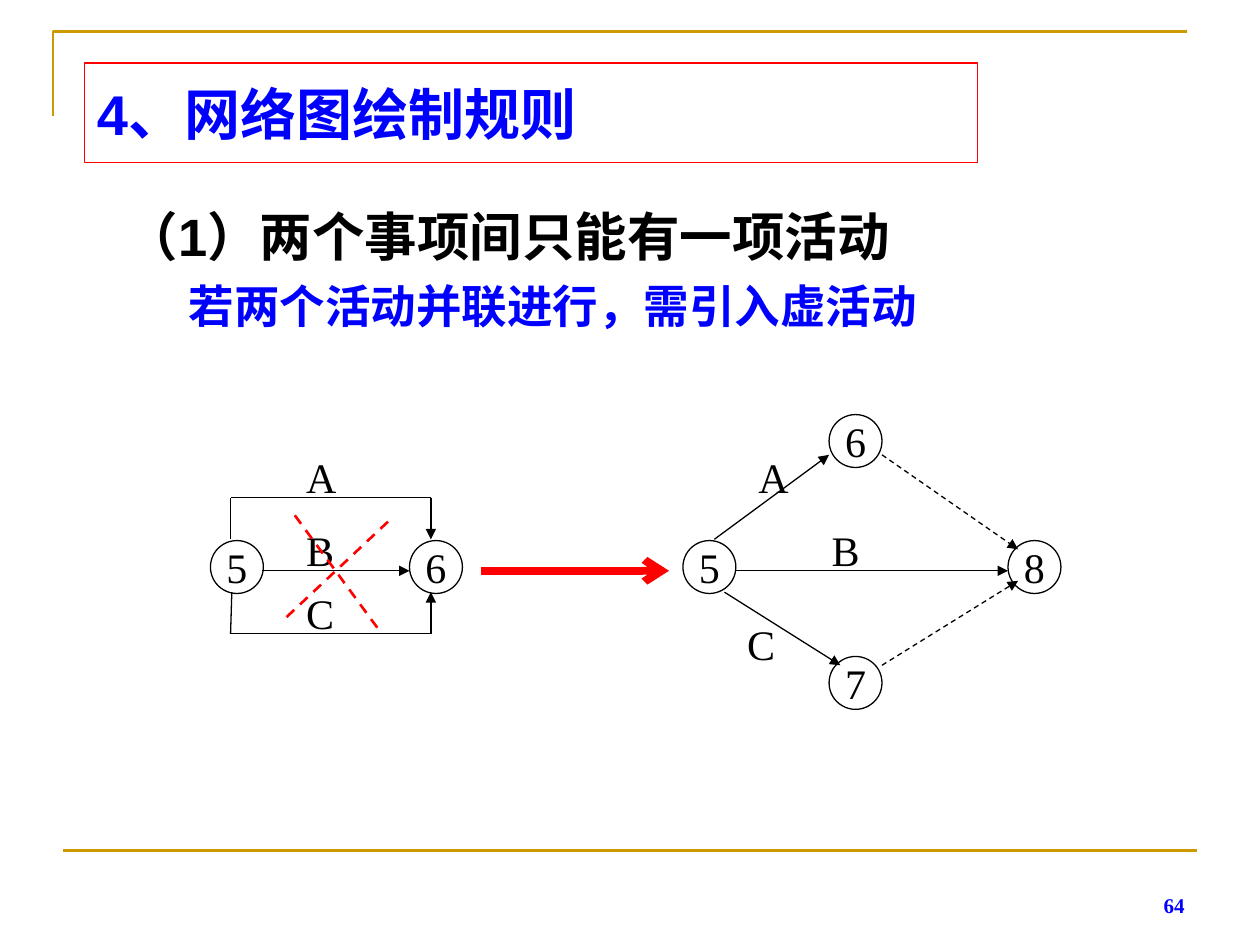
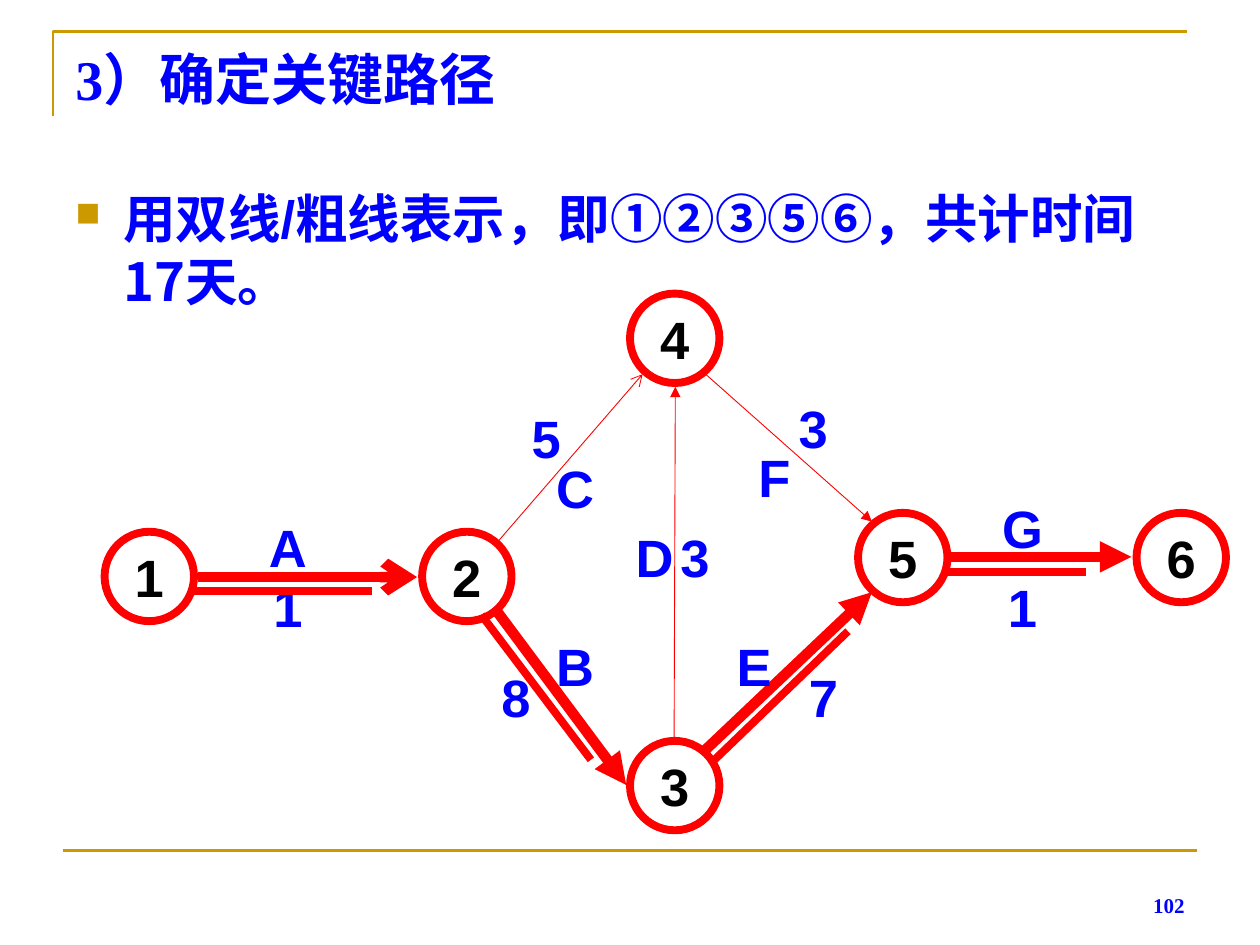
from pptx import Presentation
from pptx import util as u
from pptx.dml.color import RGBColor
from pptx.enum import dml, shapes, text
from pptx.oxml.ns import qn
from lxml import etree

HUE = {"ink": "000000", "blue": "0000FF", "red": "FF0000", "gold": "CC9900", "white": "FFFFFF"}
SANS, SERIF, CJK = "Arial", "Times New Roman", "Noto Sans CJK SC"
WIDE, HIGH = 10, 7.5
LEFT, MID, RIGHT = text.PP_ALIGN.LEFT, text.PP_ALIGN.CENTER, text.PP_ALIGN.RIGHT
TOP, CORE, BASE = text.MSO_ANCHOR.TOP, text.MSO_ANCHOR.MIDDLE, text.MSO_ANCHOR.BOTTOM

RULE = {
    "title": "4、网络图绘制规则",
    "lines": [("（1）两个事项间只能有一项活动", 30, "ink", 0.38),
              ("若两个活动并联进行，需引入虚活动", 26, "blue", 0.88)],
    "page": "64",
    "nodes": [("5", 1.67, 4.29), ("6", 3.25, 4.29), ("5", 5.42, 4.29),
              ("8", 8, 4.29), ("7", 6.58, 5.21), ("6", 6.58, 3.29)],
    "tags": [("A", 2.43, 3.58), ("B", 2.43, 4.16), ("C", 2.43, 4.66),
             ("A", 6.02, 3.58), ("B", 6.6, 4.16), ("C", 5.93, 4.91)],
    "plain": [(1.83, 4.28, 1.83, 3.95), (1.83, 3.95, 3.42, 3.95),
              (1.84, 4.7, 1.83, 5.03), (1.83, 5.03, 3.42, 5.03)],
    "arrows": [(2.08, 4.53, 3.25, 4.53), (3.42, 3.95, 3.42, 4.28), (3.42, 5.03, 3.42, 4.7),
               (5.83, 4.53, 8, 4.53), (5.75, 4.7, 6.67, 5.28), (5.67, 4.28, 6.58, 3.61)],
    "dummy": [(7, 3.61, 8.08, 4.36), (7, 5.28, 8.08, 4.61)],
    "cross": [(2.34, 4.09, 3.03, 5.03), (3.08, 4.14, 2.24, 4.93)],
    "leap": (3.82, 4.53, 5.31, 4.53),
}
PATH = {
    "title": "3）确定关键路径",
    "runs": [("用双线/粗线表示，即", SANS), ("①②③⑤⑥，共计时间17天。", CJK)],
    "page": "102",
    "nodes": [("1", 0.83, 4.22), ("2", 3.35, 4.22), ("3", 5, 5.88),
              ("4", 5, 2.33), ("5", 6.81, 4.07), ("6", 9.02, 4.07)],
    "tags": [("1", 1.93, 4.62), ("8", 3.74, 5.33), ("7", 6.18, 5.33), ("1", 7.76, 4.62),
             ("5", 3.98, 3.28), ("3", 6.1, 3.2), ("A", 1.93, 4.14), ("B", 4.21, 5.09),
             ("C", 4.21, 3.67), ("D", 4.84, 4.22), ("E", 5.63, 5.09), ("F", 5.79, 3.59),
             ("G", 7.76, 3.99), ("3", 5.16, 4.22)],
    "arrows": [((1.57, 4.58, 3.31, 4.58), 6, "arrow"), ((3.95, 4.3, 5.1, 2.97), 0.5, "arrow"),
               ((3.95, 4.86, 4.97, 6.23), 6, "triangle"),
               ((5.6, 2.97, 6.92, 4.14), 0.5, "triangle"),
               ((5.6, 5.95, 6.92, 4.7), 6, "triangle"),
               ((7.55, 4.42, 8.98, 4.42), 6, "triangle"),
               ((5.35, 5.85, 5.36, 3.07), 0.5, "triangle")],
    "twins": [(1.53, 4.69, 2.95, 4.69), (3.82, 4.88, 4.69, 6.03),
              (5.64, 6.06, 6.73, 5.01), (7.52, 4.54, 8.62, 4.54)],
}


def tint(hue):
    return RGBColor.from_string(HUE[hue])


def style(par, size, hue, face, bold=True, side=LEFT):
    par.alignment = side
    font = par.font
    font.size, font.bold, font.name = u.Pt(size), bold, face
    font.color.rgb = tint(hue)


def setup(shape, side, anchor, pad=(0.1, 0.05), wrap=True):
    frame = shape.text_frame
    frame.word_wrap, frame.vertical_anchor = wrap, anchor
    frame.margin_left = frame.margin_right = u.Inches(pad[0])
    frame.margin_top = frame.margin_bottom = u.Inches(pad[1])
    frame.paragraphs[0].alignment = side
    return frame


def label(slide, words, spot, size, hue, face, bold=True, side=LEFT, anchor=TOP, pad=(0.1, 0.05)):
    box = slide.shapes.add_textbox(*map(u.Inches, spot))
    par = setup(box, side, anchor, pad).paragraphs[0]
    par.text = words
    style(par, size, hue, face, bold, side)


def shape(slide, kind, spot, edge, width, fill=None):
    form = slide.shapes.add_shape(kind, *map(u.Inches, spot))
    form.shadow.inherit = False
    form.line.color.rgb, form.line.width = tint(edge), u.Pt(width)
    if fill:
        form.fill.solid()
        form.fill.fore_color.rgb = tint(fill)
    else:
        form.fill.background()
    return form


def node(slide, name, x, y, size, edge, width, fill, *look):
    form = shape(slide, shapes.MSO_SHAPE.OVAL, (x, y, size, size), edge, width, fill)
    par = setup(form, MID, CORE, (0, 0), False).paragraphs[0]
    par.text = name
    style(par, *look, side=MID)


def line(slide, ends, hue, width, head=None, dash=False):
    link = slide.shapes.add_connector(shapes.MSO_CONNECTOR.STRAIGHT, *map(u.Inches, ends))
    link.line.color.rgb, link.line.width = tint(hue), u.Pt(width)
    if dash:
        link.line.dash_style = dml.MSO_LINE.DASH
    if head:
        etree.SubElement(link.line._get_or_add_ln(), qn("a:tailEnd"), type=head)
    etree.SubElement(link._element.spPr, qn("a:effectLst"))


def indent(par, left, hang=0.38):
    props = par._p.get_or_add_pPr()
    props.set("marL", str(u.Inches(left)))
    props.set("indent", str(-u.Inches(hang)))
    return props


def base(deck, page):
    slide = deck.slides.add_slide(deck.slide_layouts[6])
    pen = slide.shapes.build_freeform(u.Inches(0.42), u.Inches(0.92), 1)
    pen.add_line_segments([(u.Inches(x), u.Inches(0.25)) for x in (0.42, 9.42)], close=False)
    corner = pen.convert_to_shape()
    corner.shadow.inherit = False
    corner.fill.background()
    corner.line.color.rgb, corner.line.width = tint("gold"), u.Pt(1.5)
    line(slide, (0.05 * WIDE, 0.9 * HIGH, 0.95 * WIDE, 0.9 * HIGH), "gold", 1.5)
    label(slide, page, (7.17, 6.83, 2.33, 0.5), 12, "blue", SERIF, side=RIGHT, anchor=BASE)
    return slide


def rules(deck):
    slide = base(deck, RULE["page"])
    body = slide.shapes.add_textbox(*map(u.Inches, (0.9, 1.47, 8.27, 1.22)))
    frame = setup(body, LEFT, TOP)
    for i, (words, size, hue, left) in enumerate(RULE["lines"]):
        par = frame.add_paragraph() if i else frame.paragraphs[0]
        par.text, par.line_spacing = words, 1.2
        indent(par, left)
        style(par, size, hue, SANS, side=text.PP_ALIGN.JUSTIFY)
    head = shape(slide, shapes.MSO_SHAPE.RECTANGLE, (0.67, 0.5, 7.09, 0.79), "red", 0.75)
    par = setup(head, LEFT, CORE).paragraphs[0]
    par.text = RULE["title"]
    style(par, 32, "blue", SANS)
    for item in RULE["nodes"]:
        node(slide, *item, 0.42, "ink", 0.75, "white", 24, "ink", SERIF, False)
    for ends in RULE["plain"]:
        line(slide, ends, "ink", 0.75)
    for key in ("arrows", "dummy"):
        for ends in RULE[key]:
            line(slide, ends, "ink", 0.75, "triangle", key == "dummy")
    for name, x, y in RULE["tags"]:
        label(slide, name, (x, y, 0.4, 0.4), 24, "ink", SERIF, False, pad=(0, 0))
    line(slide, RULE["leap"], "red", 4.5, "arrow")
    for ends in RULE["cross"]:
        line(slide, ends, "red", 1.5, dash=True)


def route(deck):
    slide = base(deck, PATH["page"])
    label(slide, PATH["title"], (0.5, 0.3, 9, 1.25), 32, "blue", SERIF)
    body = slide.shapes.add_textbox(*map(u.Inches, (0.5, 1.43, 9, 1.37)))
    par = setup(body, LEFT, TOP).paragraphs[0]
    props = indent(par, 0.38)
    mark = etree.SubElement(props, qn("a:buClr"))
    etree.SubElement(mark, qn("a:srgbClr"), val=HUE["gold"])
    etree.SubElement(props, qn("a:buSzPct"), val="65000")
    etree.SubElement(props, qn("a:buChar"), char="■")
    for words, face in PATH["runs"]:
        run = par.add_run()
        run.text, run.font.name = words, face
    style(par, 30, "blue", SANS)
    for item in PATH["nodes"]:
        node(slide, *item, 0.71, "red", 4.5, None, 30, "ink", SANS)
    for ends, width, head in PATH["arrows"]:
        line(slide, ends, "red", width, head)
    for name, x, y in PATH["tags"]:
        label(slide, name, (x, y, 0.71, 0.39), 30, "blue", SANS, side=MID, anchor=CORE)
    for ends in PATH["twins"]:
        line(slide, ends, "red", 4.5)


def main():
    """Build the two network diagram slides."""
    deck = Presentation()
    deck.slide_width, deck.slide_height = u.Inches(WIDE), u.Inches(HIGH)
    rules(deck)
    route(deck)
    deck.save("out.pptx")


if __name__ == "__main__":
    main()
